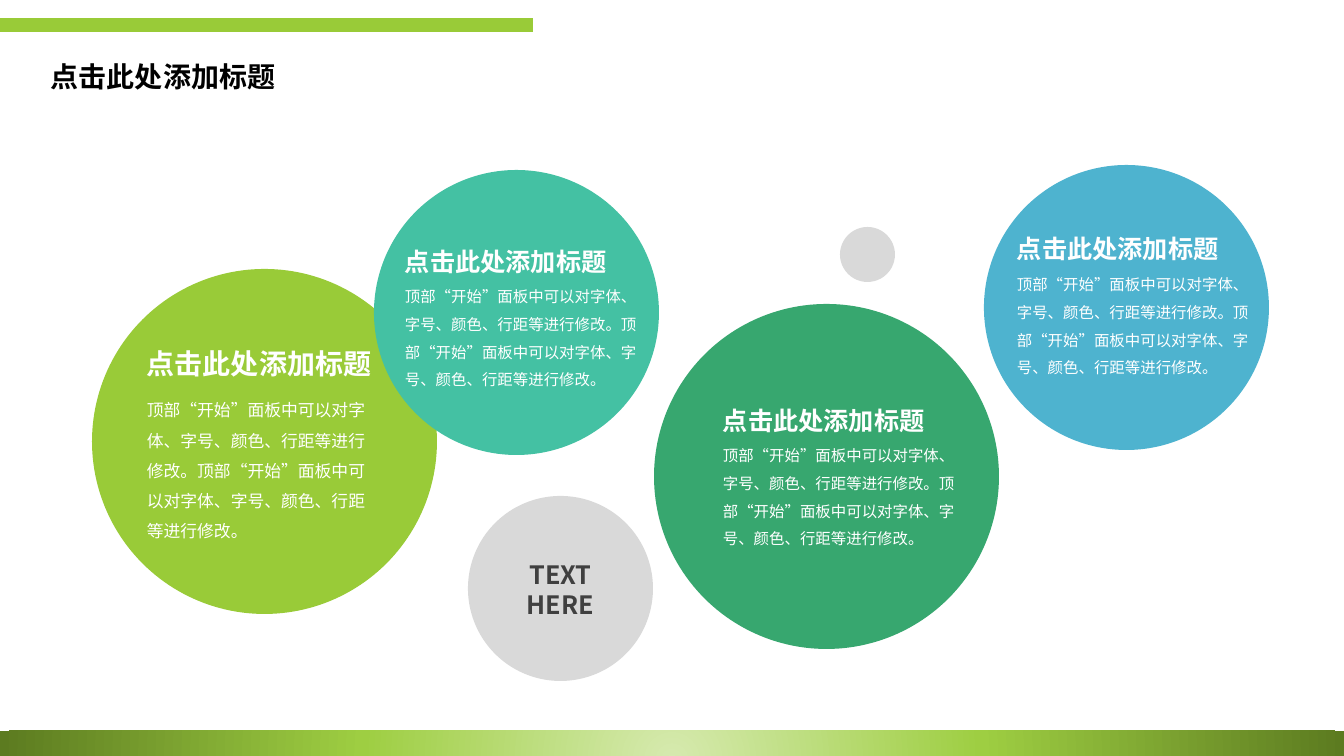
from lxml import etree
from pptx import Presentation
from pptx.dml.color import RGBColor
from pptx.enum.shapes import MSO_CONNECTOR, MSO_SHAPE
from pptx.enum.text import MSO_ANCHOR, PP_ALIGN
from pptx.oxml import parse_xml
from pptx.oxml.ns import nsdecls, qn
from pptx.util import Pt

FONT = "Noto Sans CJK SC"
LIME = RGBColor(0x99, 0xCB, 0x38)
GREEN = RGBColor(0x37, 0xA7, 0x6F)
TEAL = RGBColor(0x44, 0xC1, 0xA3)
BLUE = RGBColor(0x4E, 0xB3, 0xCF)
GREY = RGBColor(0xD9, 0xD9, 0xD9)
DARK_GREY = RGBColor(0x40, 0x40, 0x40)
BLACK = RGBColor(0, 0, 0)
WHITE = RGBColor(0xFF, 0xFF, 0xFF)

HEADING = "点击此处添加标题"
SENTENCE = "顶部“开始”面板中可以对字体、字号、颜色、行距等进行修改。"
BODY = SENTENCE * 2
CENTER_LABEL = ["TEXT", "HERE"]

# left, top, diameter, colour
CIRCLES = [
    (92, 269, 345, LIME),
    (654, 304, 345, GREEN),
    (374, 170, 285, TEAL),
    (984, 165, 285, BLUE),
    (840, 227, 55, GREY),
    (468, 496, 185, GREY),
]
# left, heading top, gap to body, heading size, body size
CAPTIONS = [
    (137, 342, 43, 20, 12),
    (395, 241, 32, 18, 11),
    (713, 400, 32, 18, 11),
    (1007, 228, 33, 18, 11),
]
CAPTION_WIDTH = 254
FOOTER_STOPS = [(0, "D6EAAF"), (46, "9ECE42"), (100, "5C7B20")]

SLIDE_WIDTH, SLIDE_HEIGHT = 1344, 756
EMU_PER_PX = 12192000 / SLIDE_WIDTH


def px(length):
    return round(length * EMU_PER_PX)


def add_plain_shape(slide, kind, left, top, width, height, color):
    shape = slide.shapes.add_shape(kind, px(left), px(top), px(width), px(height))
    shape.shadow.inherit = False
    shape.fill.solid()
    shape.fill.fore_color.rgb = color
    shape.line.fill.background()
    return shape


def add_text(slide, left, top, width, height, lines, size, color, bold=False,
             spacing=None, align=PP_ALIGN.LEFT, anchor=MSO_ANCHOR.TOP):
    box = slide.shapes.add_textbox(px(left), px(top), px(width), px(height))
    frame = box.text_frame
    frame.word_wrap = True
    frame.vertical_anchor = anchor
    for index, line in enumerate(lines):
        paragraph = frame.add_paragraph() if index else frame.paragraphs[0]
        paragraph.alignment = align
        if spacing:
            paragraph.line_spacing = spacing
        run = paragraph.add_run()
        run.text = line
        run.font.size = Pt(size)
        run.font.bold = bold
        run.font.color.rgb = color
        run.font.name = FONT
        east_asian = etree.SubElement(run.font._element, qn("a:ea"))
        east_asian.set("typeface", FONT)


def add_top_bar(slide):
    bar = slide.shapes.add_connector(MSO_CONNECTOR.STRAIGHT, 0, px(25), px(533), px(25))
    bar.line.color.rgb = LIME
    bar.line.width = Pt(10)
    etree.SubElement(bar._element.spPr, qn("a:effectLst"))


def add_footer(slide):
    """Draw the bottom band with a radial gradient centred below its middle."""
    footer = add_plain_shape(slide, MSO_SHAPE.RECTANGLE, 0, 731, SLIDE_WIDTH, 29, LIME)
    stops = "".join(
        f'<a:gs pos="{position * 1000}"><a:srgbClr val="{color}"/></a:gs>'
        for position, color in FOOTER_STOPS)
    gradient = parse_xml(
        f'<a:gradFill {nsdecls("a")} rotWithShape="1"><a:gsLst>{stops}</a:gsLst>'
        '<a:path path="circle"><a:fillToRect l="50000" t="130000" r="50000" b="-30000"/>'
        '</a:path></a:gradFill>')
    properties = footer._element.spPr
    properties.replace(properties.find(qn("a:solidFill")), gradient)


def main():
    presentation = Presentation()
    presentation.slide_width = px(SLIDE_WIDTH)
    presentation.slide_height = px(SLIDE_HEIGHT)
    slide = presentation.slides.add_slide(presentation.slide_layouts[6])

    add_top_bar(slide)
    add_footer(slide)
    add_text(slide, 41, 49, 492, 58, [HEADING], 20, BLACK, bold=True,
             spacing=0.9, anchor=MSO_ANCHOR.MIDDLE)
    for left, top, diameter, color in CIRCLES:
        add_plain_shape(slide, MSO_SHAPE.OVAL, left, top, diameter, diameter, color)
    add_text(slide, 476, 554, 169, 72, CENTER_LABEL, 18, DARK_GREY, bold=True,
             align=PP_ALIGN.CENTER)
    for left, top, gap, heading_size, body_size in CAPTIONS:
        add_text(slide, left, top + gap, CAPTION_WIDTH, 10 * body_size, [BODY],
                 body_size, WHITE, spacing=1.5)
        add_text(slide, left, top, CAPTION_WIDTH, 2 * heading_size + 4, [HEADING],
                 heading_size, WHITE, bold=True)

    presentation.save("out.pptx")


if __name__ == "__main__":
    main()
